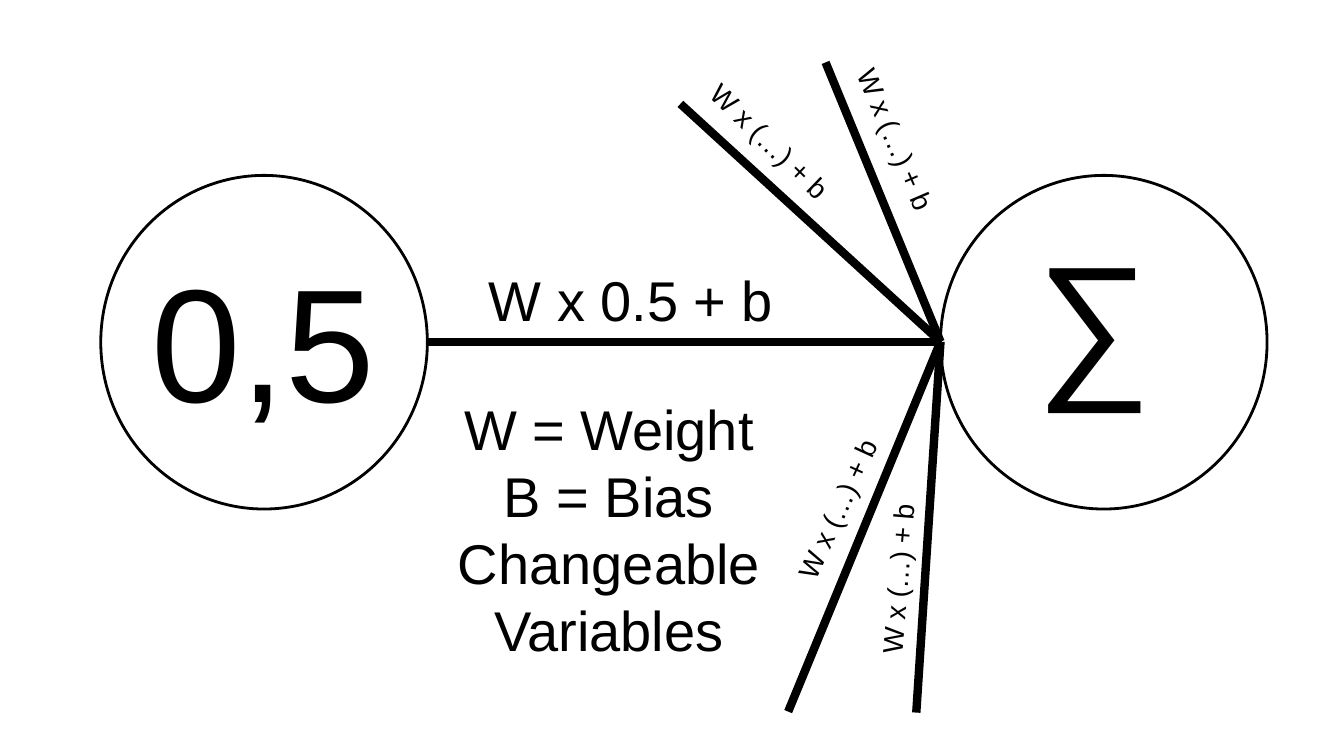
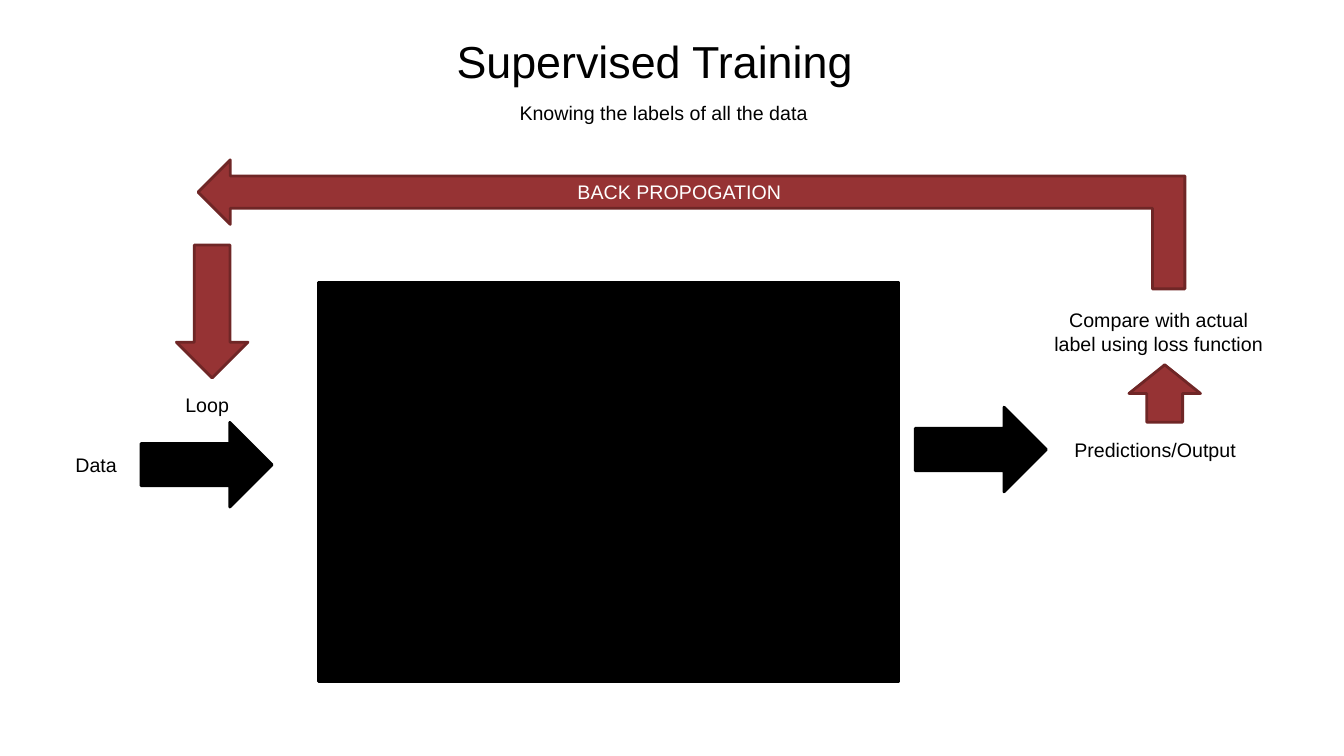
from lxml import etree
from pptx import Presentation
from pptx.dml.color import RGBColor
from pptx.enum import shapes, text
from pptx.oxml import ns
from pptx.util import Pt

BLACK = RGBColor(0, 0, 0)
WHITE = RGBColor(255, 255, 255)
RED = RGBColor(0x96, 0x33, 0x34)
DARK_RED = RGBColor(0x6F, 0x26, 0x26)
FONT = "Arial"
LEFT, CENTER = text.PP_ALIGN.LEFT, text.PP_ALIGN.CENTER
SHAPE = shapes.MSO_SHAPE

HUB = (671.8, 244.1)
CIRCLE_LEFTS = (72, 671.8)
CIRCLE_TOP, CIRCLE_W, CIRCLE_H = 125.3, 233.3, 238.3
SPOKE_ENDS = ((305.3, 244.1), (486, 74.2), (589.7, 44.6), (563, 508.3), (654.5, 509))
SPOKE_LABELS = ((476.6, 85, 43.9), (566.6, 83.5, 66.8),
                (524.9, 347.8, 294.6), (568.1, 397.4, 274.6))
LABEL_H = 24.5


def add_slide(prs):
    return prs.slides.add_slide(prs.slide_layouts[6])


def add_shape(s, kind, box, fill=None, line=BLACK, rotation=0):
    sp = s.shapes.add_shape(kind, *map(Pt, box))
    sp.shadow.inherit = False
    if fill is None:
        sp.fill.background()
    else:
        sp.fill.solid()
        sp.fill.fore_color.rgb = fill
    sp.line.color.rgb = line
    sp.line.width = Pt(2)
    sp.rotation = rotation


def add_line(s, start, end):
    cn = s.shapes.add_connector(shapes.MSO_CONNECTOR.STRAIGHT, *map(Pt, start + end))
    cn.line.color.rgb = BLACK
    cn.line.width = Pt(6)
    etree.SubElement(cn._element.spPr, ns.qn("a:effectLst"))


def add_text(s, lines, box, size=14, align=LEFT, color=BLACK, rotation=0):
    sp = s.shapes.add_textbox(*map(Pt, box))
    sp.rotation = rotation
    tf = sp.text_frame
    tf.word_wrap = True
    tf.auto_size = text.MSO_AUTO_SIZE.SHAPE_TO_FIT_TEXT
    for i, line in enumerate(lines):
        p = tf.add_paragraph() if i else tf.paragraphs[0]
        p.alignment = align
        r = p.add_run()
        r.text = line
        r.font.name = FONT
        r.font.size = Pt(size)
        r.font.color.rgb = color


def build_neuron(s):
    for left in CIRCLE_LEFTS:
        add_shape(s, SHAPE.OVAL, (left, CIRCLE_TOP, CIRCLE_W, CIRCLE_H))
    for end in SPOKE_ENDS:
        add_line(s, HUB, end)
    add_text(s, ["0,5"], (100.8, 169.2, 180.7, 146.9), 115)
    add_text(s, ["∑"], (733, 152.6, 104.4, 146.9), 115)
    add_text(s, ["W x 0.5 + b"], (311, 185.8, 279.4, 55.4), 40, CENTER)
    add_text(s, ["W = Weight", "B = Bias", "Changeable Variables"],
             (295.2, 277.9, 279.4, 200.9), 40, CENTER)
    for left, top, rotation in SPOKE_LABELS:
        add_text(s, ["W x (…) + b"], (left, top, 146.2, 31.7), 20, CENTER, rotation=rotation)


def build_training(s):
    add_text(s, ["Supervised Training"], (304.6, 20.2, 326.2, 46.1), 32, CENTER)
    add_text(s, ["Knowing the labels of all the data"],
             (317.5, 68.4, 313.2, LABEL_H), align=CENTER)

    add_shape(s, SHAPE.RECTANGLE, (227.5, 201.6, 414.7, 285.1), BLACK)
    for left, top in ((100.8, 301.7), (653.8, 290.9)):
        add_shape(s, SHAPE.RIGHT_ARROW, (left, top, 93.6, 60.5), BLACK)

    for kind, box, rotation in (
        (SHAPE.BENT_UP_ARROW, (447.8, -192.2, 92.2, 704.9), 270),
        (SHAPE.UP_ARROW, (806.4, 260.6, 51.1, 41), 0),
        (SHAPE.DOWN_ARROW, (126, 175, 51.1, 95), 0),
    ):
        add_shape(s, kind, box, RED, DARK_RED, rotation)

    add_text(s, ["BACK PROPOGATION"], (405.4, 125.3, 176.4, LABEL_H), color=WHITE)
    add_text(s, ["Compare with actual label using loss function"],
             (740.9, 216.7, 173.5, 41), align=CENTER)
    for label, left, top, width in (
        ("Data", 46.8, 319.7, 47.5),
        ("Loop", 125.3, 277.2, 47.5),
        ("Predictions/Output", 760.3, 309.6, 146.9),
    ):
        add_text(s, [label], (left, top, width, LABEL_H))


def main():
    prs = Presentation()
    prs.slide_width, prs.slide_height = Pt(960), Pt(540)
    build_neuron(add_slide(prs))
    build_training(add_slide(prs))
    prs.save("out.pptx")


if __name__ == "__main__":
    main()
